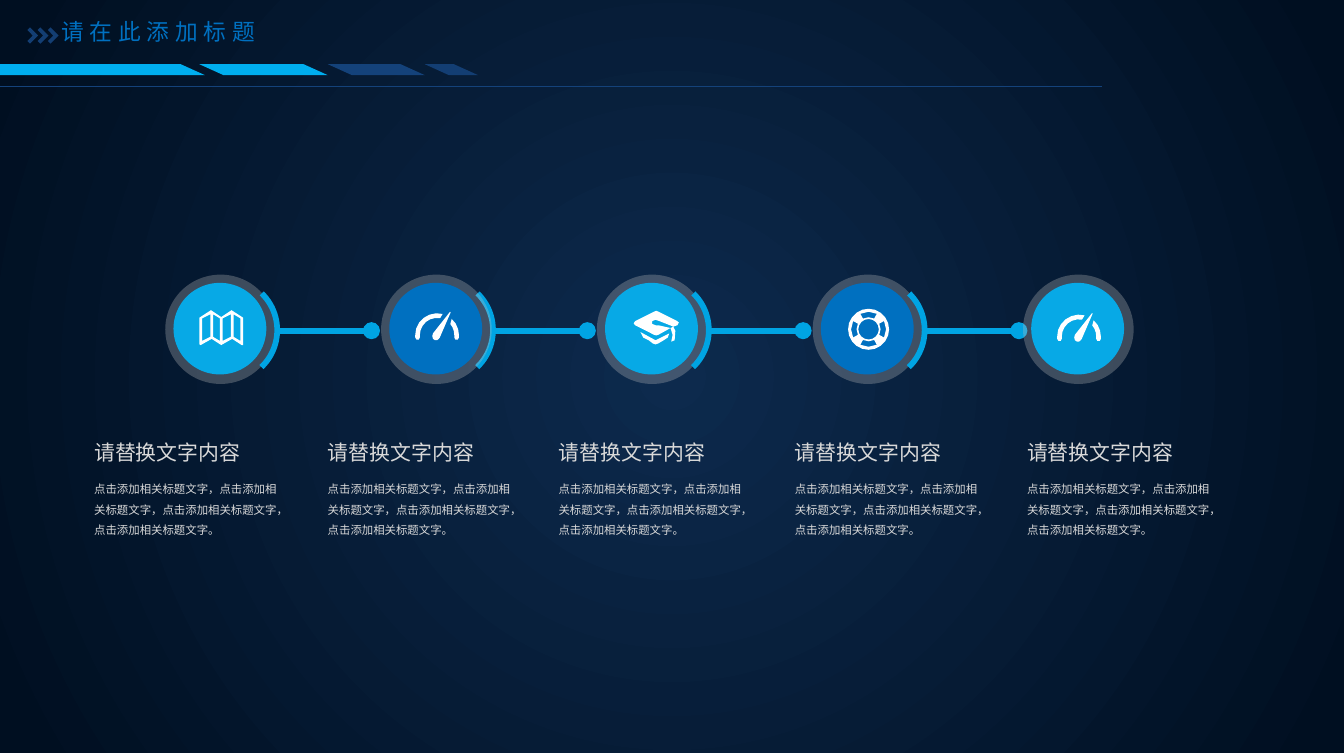
from math import cos, radians, sin

from lxml import etree
from pptx import Presentation
from pptx import util as u
from pptx.dml import color
from pptx.enum import shapes, text
from pptx.oxml import ns

HUES = {
    "core": "0D2A4D", "edge": "000F21", "link": "00A4E3", "ring": "BFBFBF",
    "sky": "07A9E6", "blue": "0070C0", "white": "FFFFFF", "pale": "D9D9D9",
    "bar": "00AEEF", "navy": "14427A", "deep": "133E73",
}
HEAD = "请替换文字内容"
BODY = "点击添加相关标题文字，" * 3 + "点击添加相关标题文字。"


def rgb(name):
    """Return the named colour."""
    return color.RGBColor.from_string(HUES[name])


def add(node, tag, **attrs):
    """Append a drawing element to a node."""
    return etree.SubElement(node, ns.qn(tag), **attrs)


def paint(shape, hue, alpha=None):
    """Fill a shape without line or shadow."""
    shape.shadow.inherit = False
    shape.line.fill.background()
    shape.fill.solid()
    shape.fill.fore_color.rgb = rgb(hue)
    if alpha:
        tint = shape.element.spPr.find(".//" + ns.qn("a:srgbClr"))
        add(tint, "a:alpha", val=str(alpha * 1000))
    return shape


def preset(slide, kind, left, top, wide, high):
    """Add a preset shape measured in inches."""
    return slide.shapes.add_shape(kind, *map(u.Inches, (left, top, wide, high)))


def rule(slide, start, end, hue, width):
    """Draw a straight line between two points."""
    ends = map(u.Inches, (*start, *end))
    line = slide.shapes.add_connector(shapes.MSO_CONNECTOR.STRAIGHT, *ends)
    line.line.color.rgb = rgb(hue)
    line.line.width = u.Pt(width)
    add(line.element.spPr, "a:effectLst")
    return line


def write(shape, words, size, font, hue, wrap=True, pad=(0.07, 0.03), lead=1.0, track=0):
    """Set the words of a shape and their format."""
    frame = shape.text_frame
    frame.word_wrap = wrap
    frame.auto_size = text.MSO_AUTO_SIZE.SHAPE_TO_FIT_TEXT
    frame.vertical_anchor = text.MSO_ANCHOR.TOP
    frame.margin_left = frame.margin_right = u.Inches(pad[0])
    frame.margin_top = frame.margin_bottom = u.Inches(pad[1])
    para = frame.paragraphs[0]
    para.alignment = text.PP_ALIGN.LEFT
    para.line_spacing = lead
    run = para.add_run()
    run.text = words
    run.font.size = u.Pt(size)
    run.font.name = font
    run.font.color.rgb = rgb(hue)
    props = run.font._element
    add(props, "a:ea", typeface="Noto Sans CJK SC")
    if track:
        props.set("spc", str(track * 100))


def trace(slide, left, top, rings, hue):
    """Draw closed outlines given in hundredths of an inch."""
    rings = [[(x * 10, y * 10) for x, y in ring] for ring in rings]
    pen = slide.shapes.build_freeform(*rings[0][0], scale=914.4)
    for i, ring in enumerate(rings):
        if i:
            pen.move_to(*ring[0])
        pen.add_line_segments(ring[1:], close=True)
    return paint(pen.convert_to_shape(u.Inches(left), u.Inches(top)), hue)


def arc(x, y, size, start, end, steps=3):
    """Return points along a circular arc."""
    turns = [radians(start + (end - start) * i / steps) for i in range(steps + 1)]
    return [(x + size * cos(t), y + size * sin(t)) for t in turns]


def chart():
    """Return the outlines of the folded map."""
    sheet = [(0, 5.5), (8.5, 0), (16, 5), (23.5, 0), (32, 5.5), (32, 25.5),
             (31, 25.5), (24, 21), (16, 25.5), (9, 21), (1, 25.5), (0, 25)]
    folds = [(2, 8, 6, 3), (10, 15, 3, 6), (17, 23, 6, 3), (25, 30, 3, 6)]
    return [sheet] + [[(a, c), (b, d), (b, d + 16.5), (a, c + 16.5)]
                      for a, b, c, d in folds]


def gauge():
    """Return the outlines of the dial and its needle."""
    x, y, far, near = 16, 18.3, 16, 12.6
    west = arc(x, y, far, 180, 285, 6) + arc(x, y, near, 280, 180, 6) + arc(1.7, 20, 1.7, 0, 180)
    east = arc(x, y, far, -48, 0) + arc(30.3, 20, 1.7, 0, 180) + arc(x, y, near, 0, -40)
    hand = [(13, 17), (12.5, 19), (13, 21), (14.5, 22), (16, 22), (17.3, 21),
            (18, 20), (26, 1.5), (25.5, 1.2)]
    return [west, east, hand]


def cap():
    """Return the outlines of the graduation cap."""
    base = [(5, 16), (7, 20), (11, 22), (14, 24.3), (16, 25), (18, 24.3),
            (22, 22), (25, 20), (26, 17), (16, 22)]
    board = [(0, 9.5), (1, 8), (15, 1), (16.5, 0.4), (18, 1), (32, 8), (33, 9),
             (32, 11), (29, 12), (19, 8), (16, 7), (13.5, 8), (13.5, 10),
             (16, 11), (18, 11), (27, 13), (18, 18), (16.5, 18.5), (15, 18), (1, 11)]
    cord = [(27, 13), (29, 12), (30.5, 15), (30, 22), (27.5, 23), (28.5, 18)]
    return [base, board, cord]


def buoy():
    """Return the outlines of the life ring."""
    slots = [arc(15, 15, 12.8, a - 28, a + 28, 2) + arc(15, 15, 8.8, a + 28, a - 28, 2)
             for a in range(0, 360, 90)]
    return [arc(15, 15, 15, 0, 360, 20), arc(15, 15, 7.5, 0, 360, 16)] + slots


def badge(slide, left, top, hue, icon, dx, dy):
    """Place a ringed disc with its icon."""
    oval = shapes.MSO_SHAPE.OVAL
    paint(preset(slide, oval, left, top, 0.81, 0.8), "ring", 30)
    paint(preset(slide, oval, left + 0.06, top + 0.06, 0.68, 0.67), hue)
    trace(slide, left + dx, top + dy, icon(), "white")


def link(slide, left, top):
    """Place the arc and dotted line beside a badge."""
    line = rule(slide, (left + 0.83, top + 0.41), (left + 1.51, top + 0.41), "link", 3)
    add(line.line._get_or_add_ln(), "a:tailEnd", type="oval")
    bow = preset(slide, shapes.MSO_SHAPE.ARC, left + 0.07, top + 0.03, 0.75, 0.75)
    bow.adjustments[0], bow.adjustments[1] = 26.572, 81.761
    bow.rotation = 270
    bow.shadow.inherit = False
    bow.fill.background()
    bow.line.color.rgb = rgb("link")
    bow.line.width = u.Pt(3)


def chain(slide, left, top):
    """Place the row of linked badges."""
    spots = [left + 1.58 * i for i in range(4)] + [left + 6.28]
    looks = [("sky", chart, 0.25, 0.26), ("blue", gauge, 0.25, 0.26),
             ("sky", cap, 0.27, 0.26), ("blue", buoy, 0.26, 0.25),
             ("sky", gauge, 0.25, 0.27)]
    link(slide, spots[1], top)
    for spot, look in zip(spots[:4], looks):
        badge(slide, spot, top, *look)
    for i in (0, 2, 3):
        link(slide, spots[i], top)
    badge(slide, spots[4], top, *looks[4])


def column(slide, left, top):
    """Place a heading and its paragraph."""
    def box(*place):
        return slide.shapes.add_textbox(*map(u.Inches, place))
    write(box(left, top + 0.26, 1.54, 0.51), BODY, 6, "Arial", "pale", lead=1.5)
    write(box(left, top, 1.24, 0.26), HEAD, 11, "Calibri", "pale", wrap=False)


def header(slide, left, top):
    """Place the title, chevrons, slanted bars and rule."""
    bars = [(-1.61, 3.11, "bar"), (1.46, 0.94, "bar"),
            (2.4, 0.71, "navy"), (3.11, 0.39, "deep")]
    for x, wide, hue in bars:
        bar = preset(slide, shapes.MSO_SHAPE.PARALLELOGRAM, left + x, top + 0.47, wide, 0.08)
        bar.adjustments[0] = 2.208
        bar.element.spPr.find(ns.qn("a:xfrm")).set("flipV", "1")
        paint(bar, hue)
    rule(slide, (left - 0.43, top + 0.63), (left + 8.07, top + 0.63), "navy", 0.5)
    title = slide.shapes.title
    title.left, title.top = u.Inches(left + 0.35), u.Inches(top + 0.08)
    title.width, title.height = u.Inches(1.67), u.Inches(0.3)
    write(title, "请在此添加标题", 12, "Noto Sans CJK SC", "blue",
          wrap=False, pad=(0.1, 0.05), track=3)
    tip = [(0, 2), (2, 0), (8, 6), (2, 12), (0, 10), (4, 6)]
    for i in range(3):
        trace(slide, left + 0.2 + 0.075 * i, top + 0.2, [tip], "deep")


def backdrop(slide):
    """Give the slide its round gradient."""
    fill = slide.background.fill
    fill.gradient()
    for stop, hue, place in zip(fill.gradient_stops, ("core", "edge"), (0, 0.97)):
        stop.color.rgb = rgb(hue)
        stop.position = place
    grad = slide.element.find(".//" + ns.qn("a:gradFill"))
    for old in grad.findall(ns.qn("a:lin")):
        grad.remove(old)
    way = add(grad, "a:path", path="circle")
    add(way, "a:fillToRect", l="50000", t="50000", r="50000", b="50000")


def main():
    """Build and save the slide."""
    deck = Presentation()
    deck.slide_width, deck.slide_height = u.Inches(9.84), u.Inches(5.51)
    slide = deck.slides.add_slide(deck.slide_layouts[5])
    backdrop(slide)
    chain(slide, 1.21, 2.01)
    for left in (0.62, 2.33, 4.02, 5.75, 7.45):
        column(slide, left, 3.19)
    header(slide, 0, 0)
    deck.save("out.pptx")


if __name__ == "__main__":
    main()
